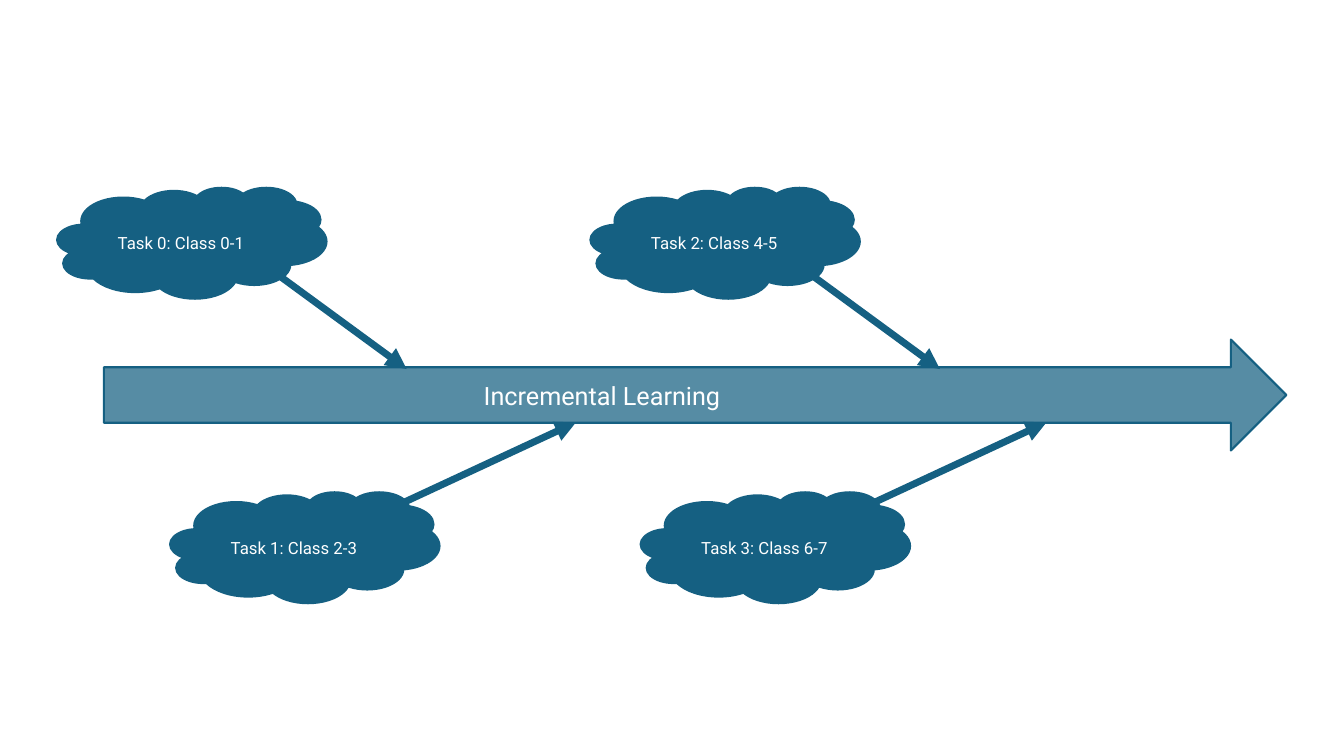
from lxml.etree import SubElement
from pptx import Presentation
from pptx.dml.color import RGBColor
from pptx.enum.shapes import MSO_CONNECTOR, MSO_SHAPE
from pptx.enum.text import MSO_ANCHOR, PP_ALIGN
from pptx.oxml.ns import qn
from pptx.util import Pt

TEAL = RGBColor(0x15, 0x60, 0x82)
WHITE = RGBColor(0xFF, 0xFF, 0xFF)

TIMELINE = ("Incremental Learning", (74.2, 242.6, 844.6, 79.2), (338.4, 267.8, 262.8, 28.8))
TASKS = [
    ("Task 0: Class 0-1", 41, "above"),
    ("Task 1: Class 2-3", 121.7, "below"),
    ("Task 2: Class 4-5", 421.9, "above"),
    ("Task 3: Class 6-7", 457.8, "below"),
]
ROWS = {
    "above": {"top": 133.9, "leave": (157, 62), "run": (92.5, 67.7)},
    "below": {"top": 351.4, "leave": (167.3, 7.2), "run": (122.4, -56.9)},
}
CLOUD_SIZE = (192.2, 79.2)
LABEL_INSET = (36, 29)
LABEL_SIZE = (120, 32.4)

deck = Presentation()
deck.slide_width, deck.slide_height = Pt(960), Pt(540)
slide = deck.slides.add_slide(deck.slide_layouts[6])


def points(values):
    return [Pt(value) for value in values]


def add_text(text, box, size, font="Roboto", color=WHITE):
    label = slide.shapes.add_textbox(*points(box))
    frame = label.text_frame
    frame.word_wrap = True
    frame.vertical_anchor = MSO_ANCHOR.TOP
    paragraph = frame.paragraphs[0]
    paragraph.alignment = PP_ALIGN.LEFT
    run = paragraph.add_run()
    run.text = text
    run.font.name, run.font.size = font, Pt(size)
    run.font.color.rgb = color


def add_outline(kind, box, opacity=100):
    shape = slide.shapes.add_shape(kind, *points(box))
    shape.shadow.inherit = False
    shape.fill.solid()
    shape.fill.fore_color.rgb = TEAL
    shape.line.color.rgb = TEAL
    shape.line.width = Pt(1.5)
    if opacity < 100:
        fill_color = shape.fill._xPr.find(qn("a:solidFill"))[0]
        SubElement(fill_color, qn("a:alpha"), val=str(opacity * 1000))


def add_arrow(start, run):
    end = (start[0] + run[0], start[1] + run[1])
    arrow = slide.shapes.add_connector(MSO_CONNECTOR.STRAIGHT, *points(start + end))
    arrow.line.color.rgb = TEAL
    arrow.line.width = Pt(5)
    SubElement(arrow.line._get_or_add_ln(), qn("a:tailEnd"), type="triangle")
    SubElement(arrow._element.spPr, qn("a:effectLst"))


title, timeline_box, title_box = TIMELINE
add_outline(MSO_SHAPE.RIGHT_ARROW, timeline_box, opacity=72)
add_text(title, title_box, size=18)

for task, left, side in TASKS:
    row = ROWS[side]
    top = row["top"]
    add_outline(MSO_SHAPE.CLOUD, (left, top) + CLOUD_SIZE)
    add_text(task, (left + LABEL_INSET[0], top + LABEL_INSET[1]) + LABEL_SIZE, size=12)
    add_arrow((left + row["leave"][0], top + row["leave"][1]), row["run"])

deck.save("out.pptx")
